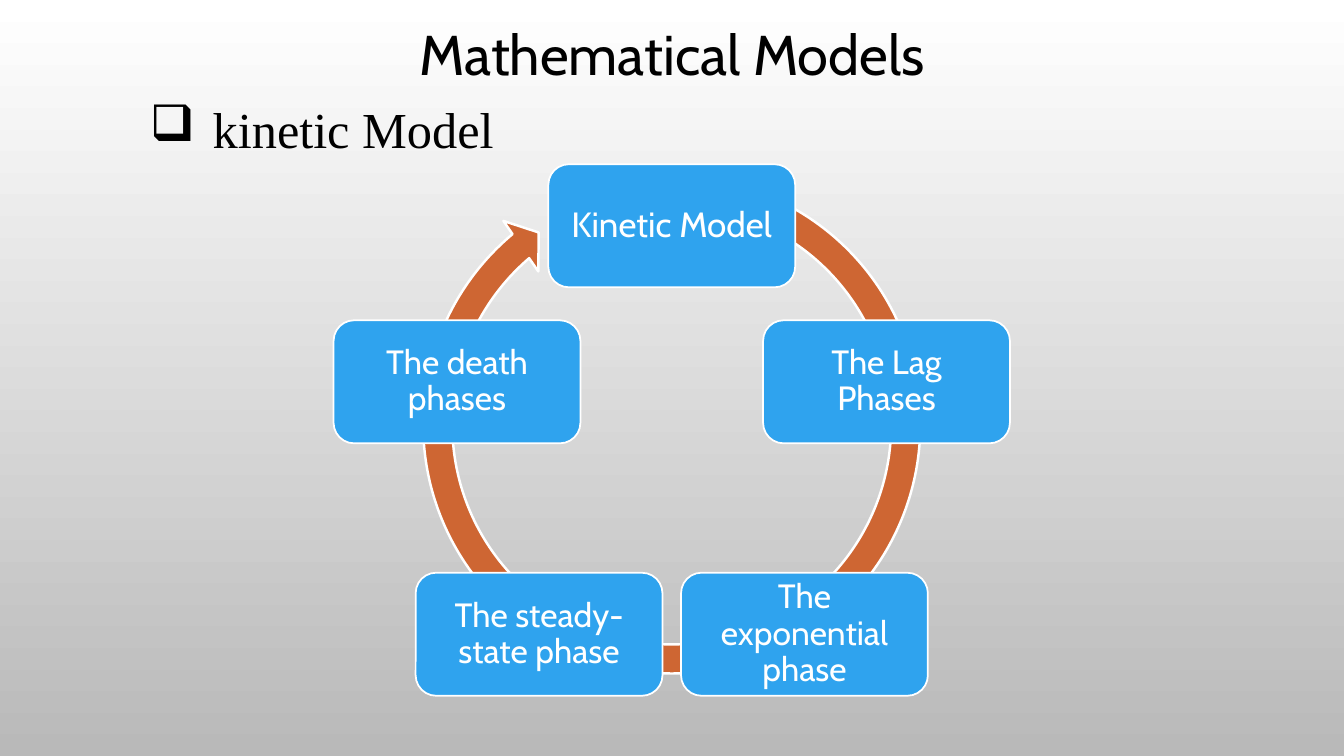
import math

from lxml import etree
from pptx import Presentation
from pptx.dml.color import RGBColor
from pptx.enum import shapes, text
from pptx.oxml import ns
from pptx.util import Cm, Pt

TITLE = "Mathematical Models"
SUBTITLE = "kinetic Model"
# Clockwise from the top: label, size in points
STAGES = [
    ("Kinetic Model", 25),
    ("The Lag Phases", 24),
    ("The exponential phase", 24),
    ("The steady-state phase", 24),
    ("The death phases", 24),
]
BACKGROUND = [(0, "FFFFFF"), (1, "B9B9B9")]
BLUE, ORANGE, WHITE, BLACK = "2FA3EE", "CE6633", "FFFFFF", "000000"

CENTER_X, CENTER_Y, RADIUS = 16.93, 11.38, 5.69
BOX_W, BOX_H, BOX_INSET = 6.22, 3.1, 0.4
ARROW_SIZE, ARROW_TOP = 13.34, 4.04
ARROW_ADJUSTMENTS = [0.055, 3.307, 137.9, 173.78, 0.058]


def color(value):
    return RGBColor.from_string(value)


def write(tf, words, font, size, fill, anchor):
    tf.text = words
    tf.word_wrap = True
    tf.auto_size = text.MSO_AUTO_SIZE.NONE
    tf.vertical_anchor = anchor
    p = tf.paragraphs[0]
    f = p.runs[0].font
    f.name, f.size, f.color.rgb = font, Pt(size), color(fill)
    return p


def add_filled(s, kind, left, top, width, height, fill, line_width):
    sp = s.shapes.add_shape(kind, Cm(left), Cm(top), Cm(width), Cm(height))
    sp.shadow.inherit = False
    sp.fill.solid()
    sp.fill.fore_color.rgb = color(fill)
    sp.line.color.rgb = color(WHITE)
    sp.line.width = Pt(line_width)
    return sp


def add_bullet(p, char, indent):
    pPr = p._p.get_or_add_pPr()
    pPr.set("marL", str(Cm(indent)))
    pPr.set("indent", str(-Cm(indent)))
    etree.SubElement(pPr, ns.qn("a:buChar")).set("char", char)


def set_background(s):
    fill = s.background.fill
    fill.gradient()
    fill.gradient_angle = 270
    for stop, (position, value) in zip(fill.gradient_stops, BACKGROUND):
        stop.position = position
        stop.color.rgb = color(value)


def add_headings(s):
    title = s.shapes.title
    title.left, title.top, title.width, title.height = Cm(4.24), Cm(0.53), Cm(25.4), Cm(1.6)
    p = write(title.text_frame, TITLE, "Cabin", 40, BLACK, text.MSO_ANCHOR.MIDDLE)
    p.alignment = text.PP_ALIGN.CENTER

    sp = s.shapes.add_textbox(Cm(3.53), Cm(2.54), Cm(9.4), Cm(1.6))
    p = write(sp.text_frame, SUBTITLE, "Times New Roman", 36, BLACK, text.MSO_ANCHOR.BOTTOM)
    add_bullet(p, "❑", 1.58)
    p.line_spacing = 0.9


def add_cycle(s):
    arrow = add_filled(s, shapes.MSO_SHAPE.CIRCULAR_ARROW, CENTER_X - ARROW_SIZE / 2,
                       ARROW_TOP, ARROW_SIZE, ARROW_SIZE, ORANGE, 1.75)
    for i, value in enumerate(ARROW_ADJUSTMENTS):
        arrow.adjustments[i] = value

    for i, (label, size) in enumerate(STAGES):
        angle = 2 * math.pi * i / len(STAGES)
        left = CENTER_X + RADIUS * math.sin(angle) - BOX_W / 2
        top = CENTER_Y - RADIUS * math.cos(angle) - BOX_H / 2
        box = add_filled(s, shapes.MSO_SHAPE.ROUNDED_RECTANGLE, left, top,
                         BOX_W, BOX_H, BLUE, 1.25)
        tf = box.text_frame
        tf.margin_left = tf.margin_right = Cm(BOX_INSET)
        tf.margin_top = tf.margin_bottom = Cm(BOX_INSET)
        p = write(tf, label, "Cabin", size, WHITE, text.MSO_ANCHOR.MIDDLE)
        p.alignment = text.PP_ALIGN.CENTER
        p.line_spacing = 0.9


def main():
    prs = Presentation()
    prs.slide_width, prs.slide_height = Cm(33.87), Cm(19.05)
    s = prs.slides.add_slide(prs.slide_layouts[5])
    set_background(s)
    add_headings(s)
    add_cycle(s)
    prs.save("out.pptx")


if __name__ == "__main__":
    main()
